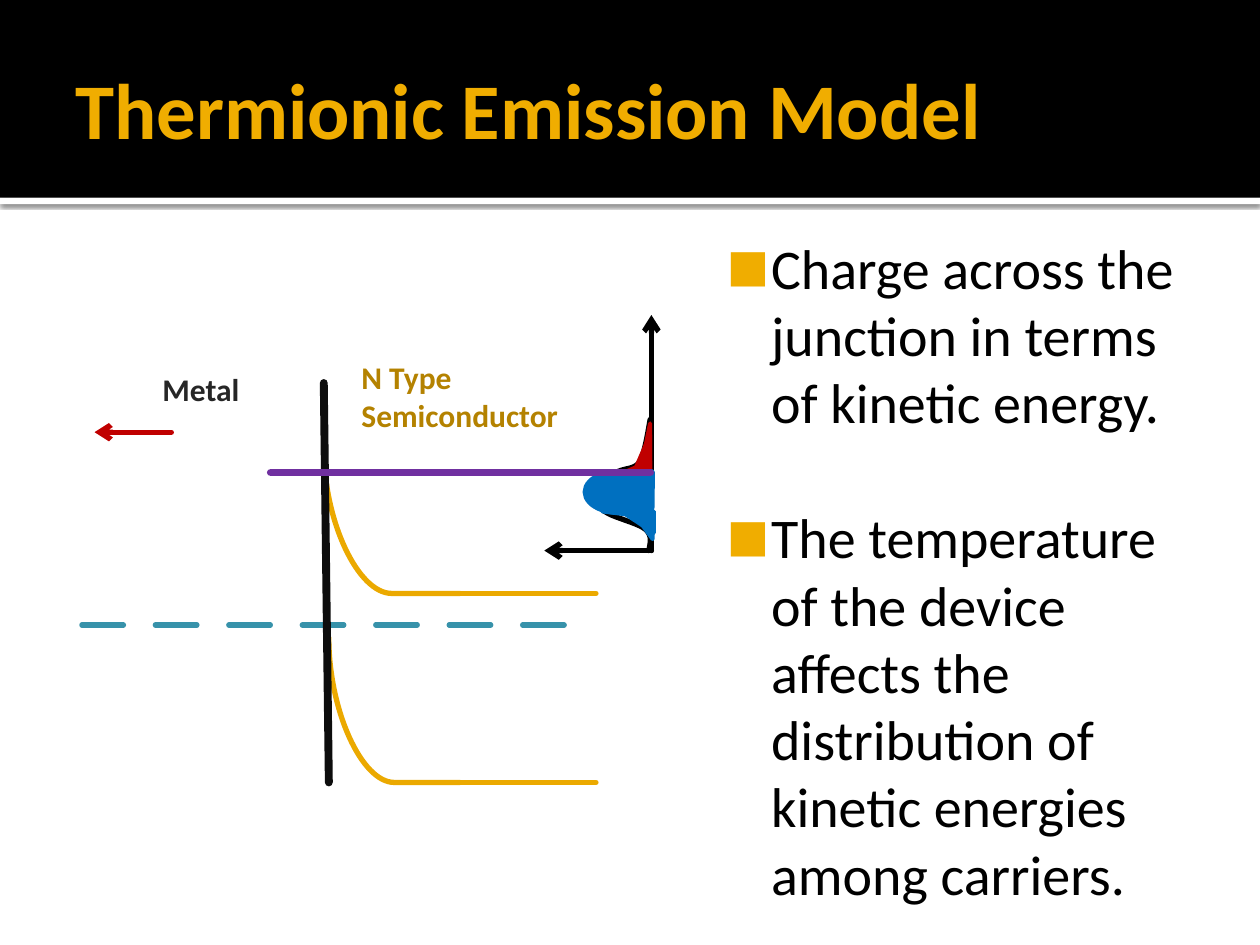
from lxml.etree import SubElement
from pptx import Presentation
from pptx.dml.color import RGBColor
from pptx.enum.shapes import MSO_CONNECTOR, MSO_SHAPE
from pptx.enum.text import MSO_ANCHOR
from pptx.oxml.ns import qn
from pptx.util import Cm, Pt

COLORS = {
    "black": "000000", "white": "FFFFFF", "gold": "F0AD00", "band": "EBA900",
    "dark gold": "B48200", "fermi": "3792AA", "junction": "0D0D0D",
    "metal": "262626", "red": "C00000", "blue": "0070C0", "purple": "7030A0",
}
FONT = "Calibri"
TITLE = "Thermionic Emission Model"
BULLETS = [
    "Charge across the junction in terms of kinetic energy.",
    "The temperature of the device affects the distribution of kinetic energies among carriers.",
]
LABELS = [
    ((2.77, 2.79, 1.92, 0.71), ["N Type", "Semiconductor"], "dark gold"),
    ((1.19, 2.89, 0.88, 0.4), ["Metal"], "metal"),
]
BAND_BENDS = [((2.61, 5.06), (3.65, 6.21)), ((2.57, 3.56), (3.65, 4.71))]
BAND_END = 4.73
FERMI_LEFT, FERMI_TOP, DASH, DASH_STEP, DASH_COUNT = 0.65, 4.96, 0.33, 0.583, 7
JUNCTION = ((2.61, 6.21), (2.57, 3.04))
ORIGIN = (5.17, 4.37)
AXIS_ENDS = [(4.32, 4.37), (5.17, 2.5)]
BARRIER = ((2.15, 3.75), (5.16, 3.75))
EMISSION = ((1.36, 3.43), (0.75, 3.43))
ENERGY_START = (5.15, 4.37)
ENERGY_CURVES = [
    ((5.16, 4.31), (5.18, 4.25), (5.12, 4.2)),
    ((5.06, 4.15), (4.87, 4.11), (4.8, 4.06)),
    ((4.73, 4.01), (4.67, 3.96), (4.68, 3.91)),
    ((4.7, 3.86), (4.82, 3.79), (4.89, 3.75)),
    ((4.96, 3.71), (5.04, 3.73), (5.08, 3.66)),
    ((5.12, 3.59), (5.15, 3.38), (5.16, 3.33)),
]
TRIANGLE = MSO_SHAPE.RIGHT_TRIANGLE
CARRIERS = [
    (TRIANGLE, (5.08, 3.36, 0.08, 0.39), "red", 2.25, "h"),
    (TRIANGLE, (4.95, 3.66, 0.21, 0.09), "red", 2.25, "h"),
    (TRIANGLE, (5.03, 3.45, 0.13, 0.3), "red", 2.25, "h"),
    (TRIANGLE, (5.02, 4.06, 0.16, 0.22), "blue", 2.25, "hv"),
    (TRIANGLE, (4.78, 4.06, 0.41, 0.05), "blue", 2.25, "hv"),
    (TRIANGLE, (4.93, 4.06, 0.26, 0.17), "blue", 2.25, "hv"),
    (MSO_SHAPE.OVAL, (4.65, 3.75, 0.51, 0.31), "blue", 3.78, ""),
    (MSO_SHAPE.ROUNDED_RECTANGLE, (4.92, 3.79, 0.25, 0.27), "blue", 3.78, ""),
    (MSO_SHAPE.RECTANGLE, (4.91, 3.75, 0.26, 0.12), "blue", 3.78, ""),
]


def lengths(values):
    return [Cm(value * 2.54) for value in values]


def color(name):
    return RGBColor.from_string(COLORS[name])


def style_line(shape, name, width):
    shape.line.color.rgb = color(name)
    shape.line.width = Pt(width)
    shape.line._get_or_add_ln().set("cap", "rnd")


def add_shape(page, kind, place, name, width=0, flips=""):
    shape = page.shapes.add_shape(kind, *lengths(place))
    shape.shadow.inherit = False
    shape.fill.solid()
    shape.fill.fore_color.rgb = color(name)
    if width:
        style_line(shape, name, width)
    else:
        shape.line.fill.background()
    for axis in flips:
        shape.element.spPr.xfrm.set("flip" + axis.upper(), "1")
    return shape


def add_line(page, start, end, name, width=3, arrow=False, kind=MSO_CONNECTOR.STRAIGHT):
    line = page.shapes.add_connector(kind, *lengths(start + end))
    style_line(line, name, width)
    if arrow:
        SubElement(line.line._get_or_add_ln(), qn("a:tailEnd"), type="arrow")
    SubElement(line.element.spPr, qn("a:effectLst"))
    return line


def add_bend(page, start, end):
    middle_x, middle_y = (start[0] + end[0]) / 2, (start[1] + end[1]) / 2
    half_x, half_y = (end[0] - start[0]) / 2, (end[1] - start[1]) / 2
    bend = add_line(page, (middle_x - half_y, middle_y - half_x),
                    (middle_x + half_y, middle_y + half_x), "band", kind=MSO_CONNECTOR.CURVE)
    bend.element.spPr.xfrm.set("rot", str(270 * 60000))
    bend.element.spPr.xfrm.set("flipH", "1")
    adjustments = bend.element.spPr.find(qn("a:prstGeom")).find(qn("a:avLst"))
    SubElement(adjustments, qn("a:gd"), name="adj1", fmla="val 100000")


def add_energy_curve(page, steps=10):
    points, start = [], ENERGY_START
    for first, second, end in ENERGY_CURVES:
        for step in range(1, steps + 1):
            t = step / steps
            points.append(lengths(
                (1 - t) ** 3 * a + 3 * (1 - t) ** 2 * t * b + 3 * (1 - t) * t * t * c + t ** 3 * d
                for a, b, c, d in zip(start, first, second, end)))
        start = end
    builder = page.shapes.build_freeform(*lengths(ENERGY_START))
    builder.add_line_segments(points, close=False)
    curve = builder.convert_to_shape()
    curve.shadow.inherit = False
    curve.fill.background()
    style_line(curve, "black", 3)


def add_text(page, place, texts, name, size, bold=False, insets=(0.1, 0.05, 0.1, 0.05),
             anchor=MSO_ANCHOR.TOP):
    box = page.shapes.add_textbox(*lengths(place))
    frame = box.text_frame
    frame.word_wrap = True
    frame.vertical_anchor = anchor
    (frame.margin_left, frame.margin_top,
     frame.margin_right, frame.margin_bottom) = lengths(insets)
    for index, text in enumerate(texts):
        paragraph = frame.add_paragraph() if index else frame.paragraphs[0]
        span = paragraph.add_run()
        span.text = text
        span.font.name = FONT
        span.font.size = Pt(size)
        span.font.bold = bold
        span.font.color.rgb = color(name)
    return frame.paragraphs


def add_bullet(paragraph):
    properties = paragraph._p.get_or_add_pPr()
    margin, indent = lengths((0.48, -0.35))
    properties.set("marL", str(margin))
    properties.set("indent", str(indent))
    SubElement(SubElement(properties, qn("a:buClr")), qn("a:srgbClr"), val=COLORS["gold"])
    SubElement(properties, qn("a:buSzPct"), val="80000")
    SubElement(properties, qn("a:buFont"), typeface=FONT)
    SubElement(properties, qn("a:buChar"), char="■")


def add_header(page):
    strip = add_shape(page, MSO_SHAPE.RECTANGLE, (0, 1.57, 10, 0.05), "white")
    effects = strip.element.spPr.find(qn("a:effectLst"))
    shadow = SubElement(effects, qn("a:outerShdw"), blurRad=str(Pt(2.5)),
                        dist=str(Pt(0.8)), dir="5400000")
    tint = SubElement(shadow, qn("a:srgbClr"), val=COLORS["black"])
    SubElement(tint, qn("a:alpha"), val="60000")
    add_shape(page, MSO_SHAPE.RECTANGLE, (0, 0, 10, 1.57), "black")
    add_text(page, (0.5, 0.17, 9, 1.37), [TITLE], "gold", 45, True,
             (0.1, 0.05, 0.05, 0.05), MSO_ANCHOR.MIDDLE)


def add_diagram(page):
    for start, end in BAND_BENDS:
        add_bend(page, start, end)
        add_line(page, (BAND_END, end[1]), end, "band")
    for index in range(DASH_COUNT):
        left = FERMI_LEFT + index * DASH_STEP
        add_line(page, (left, FERMI_TOP), (left + DASH, FERMI_TOP), "fermi")
    add_line(page, *JUNCTION, "junction", 4.5)
    for place, texts, name in LABELS:
        add_text(page, place, texts, name, 18, True)
    add_energy_curve(page)
    for end in AXIS_ENDS:
        add_line(page, ORIGIN, end, "black", arrow=True)
    for kind, place, name, width, flips in CARRIERS:
        add_shape(page, kind, place, name, width, flips)
    add_line(page, *BARRIER, "purple", 4.5)
    add_line(page, *EMISSION, "red", arrow=True)


def main():
    deck = Presentation()
    deck.slide_width, deck.slide_height = lengths((10, 7.5))
    page = deck.slides.add_slide(deck.slide_layouts[6])
    add_header(page)
    bullets = add_text(page, (5.58, 1.75, 4.08, 5.5), BULLETS, "black", 32,
                       insets=(0.06, 0.1, 0.1, 0.05))
    for index, paragraph in enumerate(bullets):
        add_bullet(paragraph)
        paragraph.space_before = Pt(39 if index else 0)
    add_diagram(page)
    deck.save("out.pptx")


if __name__ == "__main__":
    main()
